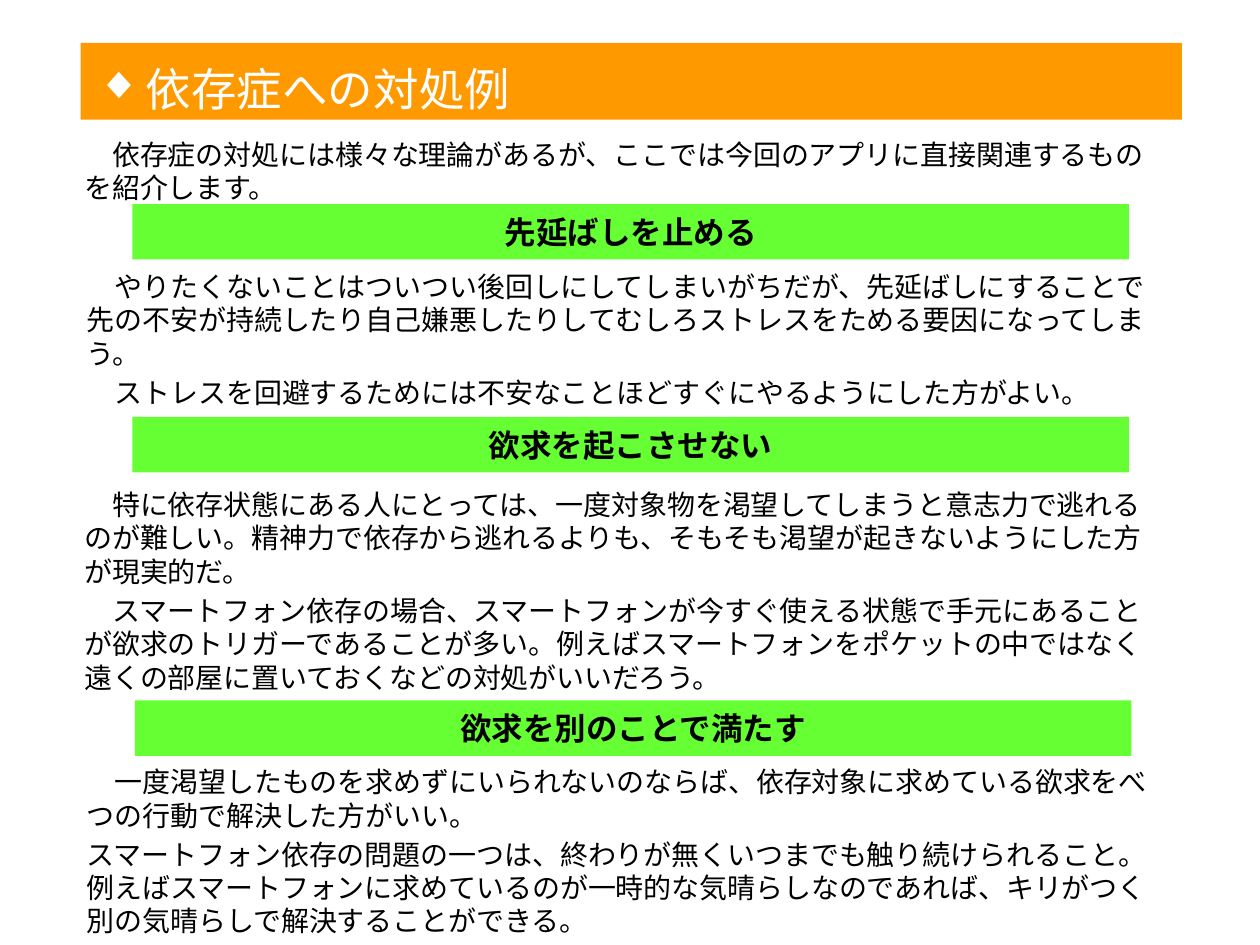
from dataclasses import dataclass

from pptx import Presentation
from pptx.dml.color import RGBColor
from pptx.enum.shapes import MSO_SHAPE as Shape
from pptx.enum.text import MSO_ANCHOR as Anchor, PP_ALIGN as Align
from pptx.oxml.ns import qn
from pptx.util import Inches, Pt


@dataclass(frozen=True)
class Theme:
    orange: str = "FF9900"
    green: str = "66FF33"
    white: str = "FFFFFF"
    black: str = "000000"
    heading_font: str = "Arial"
    body_font: str = "Noto Sans CJK JP"
    title_size: float = 26
    heading_size: float = 18
    body_size: float = 16
    body_line: float = 19.1
    paragraph_gap: float = 3.2


def write(frame, paragraphs, *, font, size, color, bold=False,
          align=Align.LEFT, line=None, gap=0):
    for index, text in enumerate(paragraphs):
        paragraph = frame.paragraphs[0] if index == 0 else frame.add_paragraph()
        paragraph.alignment = align
        if line:
            paragraph.line_spacing = Pt(line)
        if index:
            paragraph.space_before = Pt(gap)
        run = paragraph.add_run()
        run.text = text
        run.font.name = font
        run.font.size = Pt(size)
        run.font.bold = bold
        run.font.color.rgb = RGBColor.from_string(color)
        east_asian = run._r.get_or_add_rPr().makeelement(
            qn("a:ea"), {"typeface": Theme.body_font})
        run.font._element.find(qn("a:latin")).addnext(east_asian)


class SlideBuilder:
    BAR_WIDTH, BAR_HEIGHT = 7.91, 0.44

    def __init__(self, slide, theme):
        self.slide = slide
        self.theme = theme

    def bar(self, box, color, shapes=None):
        target = self.slide.shapes if shapes is None else shapes
        shape = target.add_shape(Shape.RECTANGLE, *map(Inches, box))
        shape.shadow.inherit = False
        shape.fill.solid()
        shape.fill.fore_color.rgb = RGBColor.from_string(color)
        shape.line.fill.background()

    def label(self, box, text, shapes=None, **style):
        """Place one unwrapped line, centred vertically in its box."""
        target = self.slide.shapes if shapes is None else shapes
        frame = target.add_textbox(*map(Inches, box)).text_frame
        frame.word_wrap = False
        frame.vertical_anchor = Anchor.MIDDLE
        frame.margin_top = frame.margin_bottom = Inches(0.05)
        write(frame, [text], font=self.theme.heading_font, **style)

    def title(self, text):
        theme = self.theme
        shapes = self.slide.shapes.add_group_shape().shapes
        style = dict(shapes=shapes, size=theme.title_size, color=theme.white)
        self.bar((0.64, 0.34, 8.74, 0.61), theme.orange, shapes)
        self.label((0.67, 0.39, 0.56, 0.53), "◆", **style)
        self.label((1.06, 0.43, 3.12, 0.54), text, **style)

    def heading(self, left, top, text, text_width):
        theme = self.theme
        self.bar((left, top, self.BAR_WIDTH, self.BAR_HEIGHT), theme.green)
        text_left = left + (self.BAR_WIDTH - text_width) / 2
        self.label((text_left, top + 0.02, text_width, 0.4), text,
                   size=theme.heading_size, color=theme.black, bold=True,
                   align=Align.CENTER)

    def body(self, left, top, height, paragraphs):
        theme = self.theme
        box = self.slide.shapes.add_textbox(
            Inches(left), Inches(top), Inches(8.81), Inches(height))
        frame = box.text_frame
        frame.word_wrap = True
        frame.margin_top = Inches(0.04)
        write(frame, paragraphs, font=theme.body_font, size=theme.body_size,
              color=theme.black, line=theme.body_line, gap=theme.paragraph_gap)


INTRODUCTION = [
    "　依存症の対処には様々な理論があるが、ここでは今回のアプリに直接関連するものを紹介します。",
]
POSTPONING = [
    "　やりたくないことはついつい後回しにしてしまいがちだが、先延ばしにすることで先の不安が持続したり自己嫌悪したりしてむしろストレスをためる要因になってしまう。",
    "　ストレスを回避するためには不安なことほどすぐにやるようにした方がよい。",
]
AVOIDING_DESIRE = [
    "　特に依存状態にある人にとっては、一度対象物を渇望してしまうと意志力で逃れるのが難しい。精神力で依存から逃れるよりも、そもそも渇望が起きないようにした方が現実的だ。",
    "　スマートフォン依存の場合、スマートフォンが今すぐ使える状態で手元にあることが欲求のトリガーであることが多い。例えばスマートフォンをポケットの中ではなく遠くの部屋に置いておくなどの対処がいいだろう。",
]
REPLACING_DESIRE = [
    "　一度渇望したものを求めずにいられないのならば、依存対象に求めている欲求をべつの行動で解決した方がいい。",
    "スマートフォン依存の問題の一つは、終わりが無くいつまでも触り続けられること。例えばスマートフォンに求めているのが一時的な気晴らしなのであれば、キリがつく別の気晴らしで解決することができる。",
]


def main():
    presentation = Presentation()
    presentation.slide_width = Inches(10)
    presentation.slide_height = Inches(7.5)
    slide = presentation.slides.add_slide(presentation.slide_layouts[6])
    builder = SlideBuilder(slide, Theme())

    builder.title("依存症への対処例")

    # Bars go behind the body text
    builder.heading(1.05, 1.62, "先延ばしを止める", 2.22)
    builder.heading(1.05, 3.31, "欲求を起こさせない", 2.47)
    builder.heading(1.07, 5.56, "欲求を別のことで満たす", 2.98)

    builder.body(0.57, 1.05, 0.64, INTRODUCTION)
    builder.body(0.59, 2.1, 1.23, POSTPONING)
    builder.body(0.57, 3.83, 1.77, AVOIDING_DESIRE)
    builder.body(0.59, 6.03, 1.5, REPLACING_DESIRE)

    presentation.save("out.pptx")


if __name__ == "__main__":
    main()
